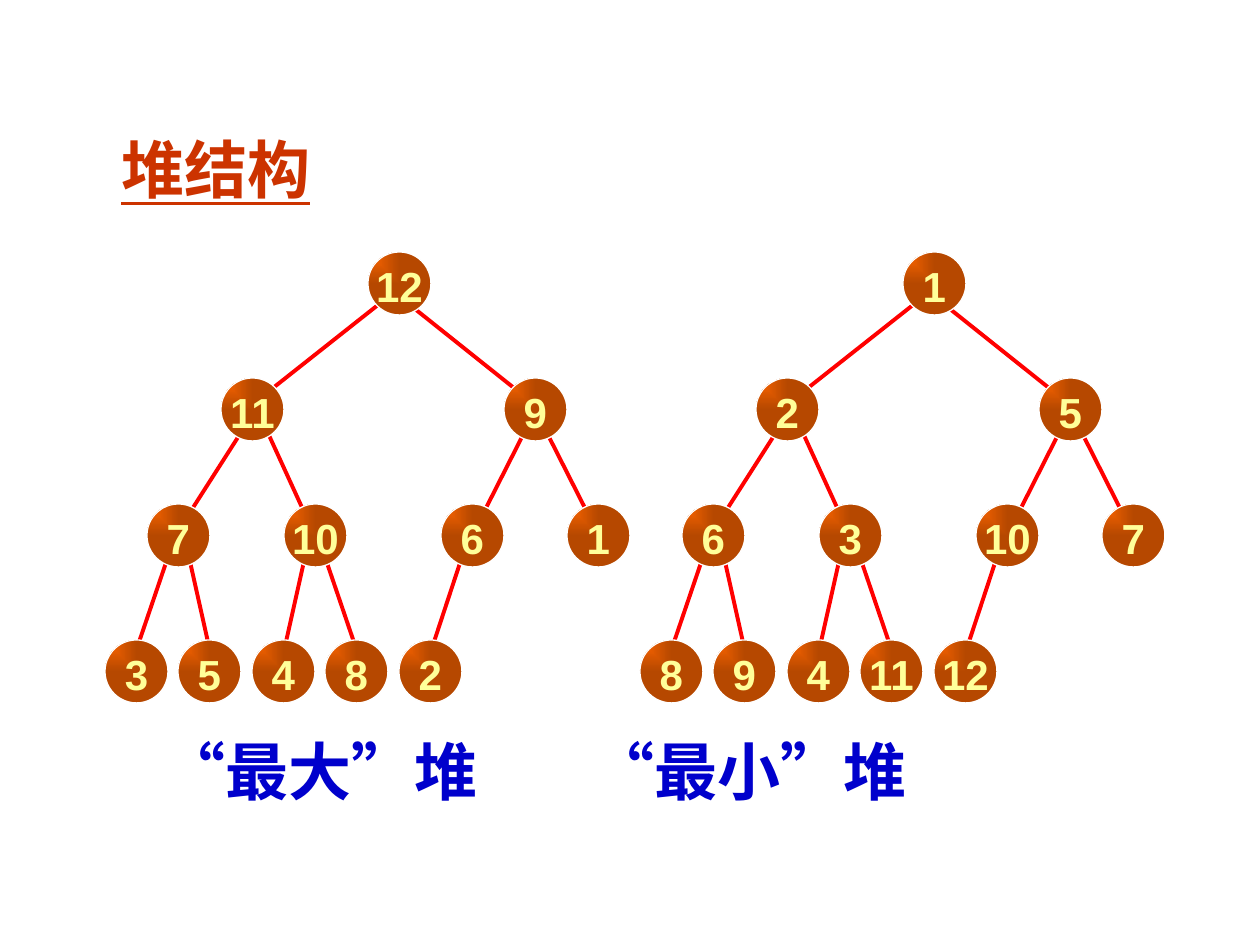
from pptx import Presentation
from pptx import util as u
from pptx.dml.color import RGBColor
from pptx.enum import shapes, text
from pptx.oxml import parse_xml
from pptx.oxml.ns import nsdecls, qn

SCALE = 914400 // 126  # EMU per pixel


def px(*lengths):
    return [u.Emu(round(length * SCALE)) for length in lengths]


def style(paragraph, size, font, colour):
    for run in paragraph.runs:
        run.font.size = u.Pt(size)
        run.font.name = font
        run.font.bold = True
        run.font.color.rgb = RGBColor.from_string(colour)
        run._r.rPr.find(qn("a:latin")).addnext(
            parse_xml(f'<a:ea {nsdecls("a")} typeface="Noto Sans CJK SC"/>'))


presentation = Presentation()
presentation.slide_width, presentation.slide_height = px(1260, 945)
slide = presentation.slides.add_slide(presentation.slide_layouts[5])

# Title
title = slide.shapes.title
title.left, title.top, title.width, title.height = px(42, 116, 348, 105)
title.text_frame.text = "堆结构"
title.text_frame.vertical_anchor = text.MSO_ANCHOR.MIDDLE
paragraph = title.text_frame.paragraphs[0]
paragraph.alignment = text.PP_ALIGN.CENTER
style(paragraph, 36, "Times New Roman", "CC3300")
paragraph.runs[0].font.underline = True

# Heap layout: both trees share it, the second one moved to the right
NODE_SIZE = 63
TREE_STEP = 535
nodes = [(368, 252), (221, 378), (504, 378)]
nodes += [(left, 504) for left in (147, 284, 441, 567)]
nodes += [(105 + 147 * i // 2, 640) for i in range(5)]
edges = [
    (378, 305, 273, 388), (410, 305, 514, 388),
    (242, 431, 189, 514), (262, 420, 305, 514),
    (525, 431, 483, 514), (546, 431, 588, 514),
    (168, 557, 136, 651), (189, 557, 210, 651),
    (305, 557, 284, 651), (325, 557, 357, 651),
    (462, 557, 431, 651),
]
heaps = [
    [12, 11, 9, 7, 10, 6, 1, 3, 5, 4, 8, 2],
    [1, 2, 5, 6, 3, 10, 7, 8, 9, 4, 11, 12],
]
GRADIENT = (
    f'<a:gradFill {nsdecls("a")} rotWithShape="0"><a:gsLst>'
    '<a:gs pos="0"><a:srgbClr val="FF6600"/></a:gs>'
    '<a:gs pos="100000"><a:srgbClr val="FF6600"><a:shade val="46275"/></a:srgbClr></a:gs>'
    '</a:gsLst><a:path path="rect"><a:fillToRect r="100000" b="100000"/></a:path>'
    '</a:gradFill>')

for tree, heap in enumerate(heaps):
    shift = tree * TREE_STEP

    # Edges
    for x1, y1, x2, y2 in edges:
        edge = slide.shapes.add_connector(
            shapes.MSO_CONNECTOR.STRAIGHT, *px(x1 + shift, y1, x2 + shift, y2))
        edge.line.color.rgb = RGBColor.from_string("FF0000")
        edge.line.width = u.Pt(2.25)
        edge._element.spPr.append(parse_xml(f'<a:effectLst {nsdecls("a")}/>'))

    # Nodes with their keys
    for (left, top), key in zip(nodes, heap):
        node = slide.shapes.add_shape(
            shapes.MSO_SHAPE.OVAL, *px(left + shift, top, NODE_SIZE, NODE_SIZE))
        node.shadow.inherit = False
        node.line.color.rgb = RGBColor.from_string("FFFFFF")
        node.line.width = u.Pt(0.75)
        node._element.spPr.find(qn("a:prstGeom")).addnext(parse_xml(GRADIENT))
        frame = node.text_frame
        frame.margin_left = frame.margin_right = frame.margin_bottom = 0
        frame.margin_top = px(4)[0]
        frame.word_wrap = False
        frame.vertical_anchor = text.MSO_ANCHOR.MIDDLE
        frame.text = str(key)
        frame.paragraphs[0].alignment = text.PP_ALIGN.CENTER
        style(frame.paragraphs[0], 24, "Arial", "FFFF99")

# Captions under the two trees, the second one at a tab stop
captions = slide.shapes.add_textbox(*px(132, 725, 953, 92))
frame = captions.text_frame
frame.word_wrap = True
frame.margin_left, frame.margin_top, frame.margin_right, frame.margin_bottom = px(30, 8, 15, 8)
frame.text = "“最大”堆\t“最小”堆"
paragraph = frame.paragraphs[0]
style(paragraph, 36, "Noto Sans CJK SC", "0000CC")
paragraph.runs[0]._r.rPr.set("lang", "zh-CN")
paragraph._p.get_or_add_pPr().append(parse_xml(
    f'<a:tabLst {nsdecls("a")}><a:tab pos="{px(429)[0]}" algn="l"/></a:tabLst>'))

presentation.save("out.pptx")
